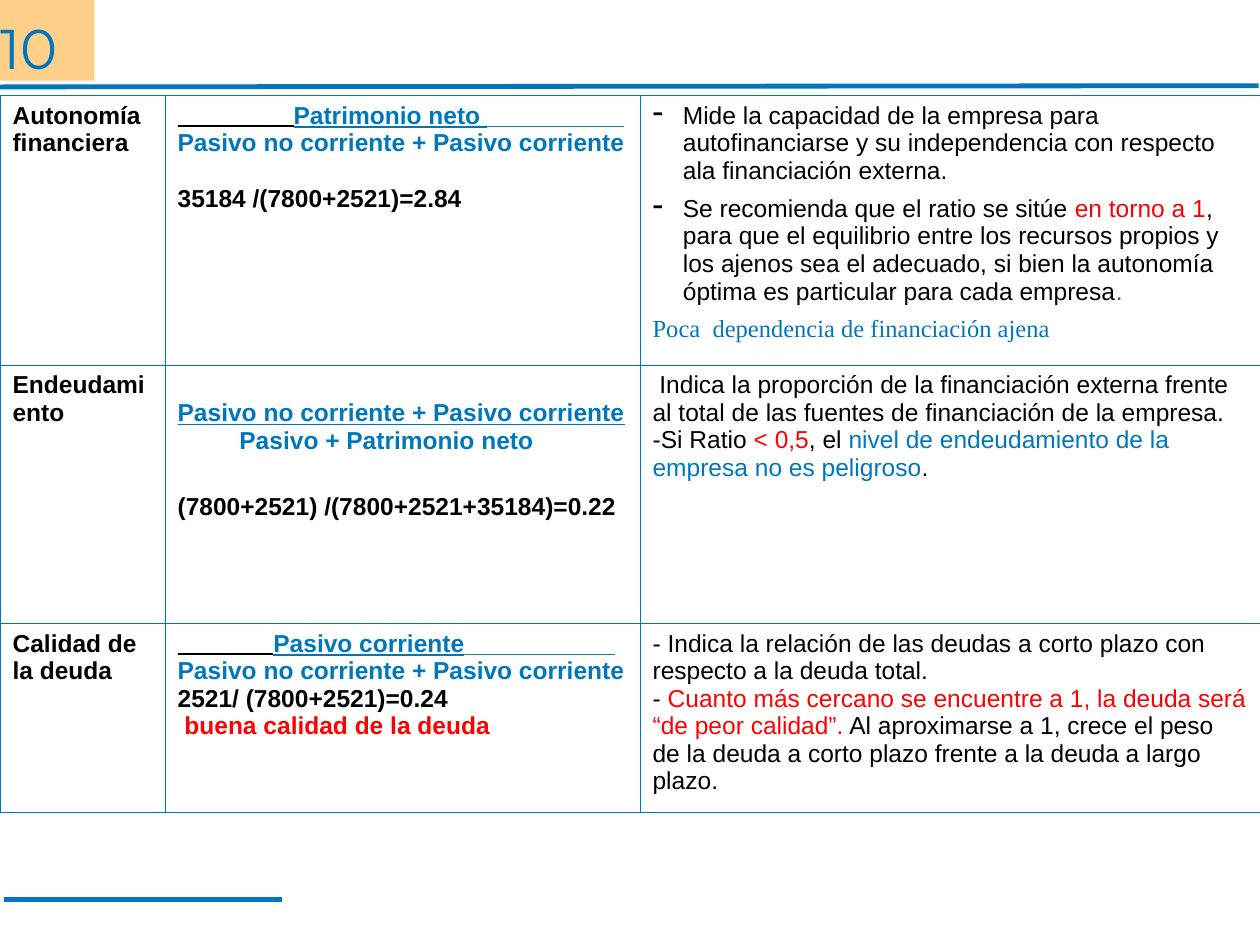
"""Builds a slide with a table of financial ratios."""
from lxml import etree
from pptx import Presentation
from pptx import util as u
from pptx.dml.color import RGBColor
from pptx.enum import shapes, text
from pptx.oxml import ns

BLUE = RGBColor(0x00, 0x77, 0xBD)
RED = RGBColor(0xFF, 0x00, 0x00)
BLACK = RGBColor(0x00, 0x00, 0x00)
WHITE = RGBColor(0xFF, 0xFF, 0xFF)
ORANGE = RGBColor(0xFF, 0x99, 0x00)
LINE_BREAK = "\n"


def add_xml(parent, tag, **attributes):
    return etree.SubElement(parent, ns.qn(tag), attributes)


def add_run(paragraph, content, size=14, font="Arial", color=BLACK, bold=False, underline=False):
    if content == LINE_BREAK:
        paragraph.add_line_break()
        return
    run = paragraph.add_run()
    run.text = content
    run.font.size = u.Pt(size)
    run.font.name = font
    run.font.color.rgb = color
    run.font.bold = bold
    run.font.underline = underline


def line(*runs, before=0, after=0, indent=0, bullet=False, **style):
    return {"runs": [run if isinstance(run, tuple) else (run, {}) for run in runs],
            "before": before, "after": after, "indent": indent,
            "bullet": bullet, "style": style}


class RatioSlide:
    def __init__(self, presentation):
        self.slide = presentation.slides.add_slide(presentation.slide_layouts[6])

    def add_line(self, start, end, color=BLUE, width=2.75):
        connector = self.slide.shapes.add_connector(
            shapes.MSO_CONNECTOR.STRAIGHT, *map(u.Inches, start + end))
        connector.line.color.rgb = color
        connector.line.width = u.Pt(width)
        add_xml(connector._element.spPr, "a:effectLst")

    def add_number(self, content):
        shape = self.slide.shapes.add_shape(
            shapes.MSO_SHAPE.RECTANGLE, 0, 0, u.Inches(0.75), u.Inches(0.64))
        shape.shadow.inherit = False
        shape.line.fill.background()
        shape.fill.solid()
        shape.fill.fore_color.rgb = ORANGE
        color = shape._element.spPr.find(".//" + ns.qn("a:srgbClr"))
        add_xml(color, "a:alpha", val="46000")
        frame = shape.text_frame
        frame.margin_left = frame.margin_right = frame.margin_top = frame.margin_bottom = 0
        frame.vertical_anchor = text.MSO_ANCHOR.TOP
        paragraph = frame.paragraphs[0]
        paragraph.alignment = text.PP_ALIGN.LEFT
        paragraph.line_spacing = 1.2
        add_run(paragraph, content, size=32, font="Montserrat", color=BLUE)

    def fill_paragraph(self, paragraph, item):
        properties = paragraph._p.get_or_add_pPr()
        indent = item["indent"]
        if item["bullet"]:
            indent = 0.24
            properties.set("indent", str(-u.Inches(indent)))
            add_xml(add_xml(properties, "a:buClr"), "a:srgbClr", val=str(BLACK))
            add_xml(properties, "a:buSzPct", val="130000")
            add_xml(properties, "a:buChar", char="-")
        properties.set("marL", str(u.Inches(indent)))
        paragraph.space_before = u.Pt(item["before"])
        paragraph.space_after = u.Pt(item["after"])
        for content, style in item["runs"]:
            add_run(paragraph, content, **{**item["style"], **style})

    def format_cell(self, cell, lines, top=0.05):
        cell.margin_left = cell.margin_right = u.Inches(0.1)
        cell.margin_top, cell.margin_bottom = u.Inches(top), u.Inches(0.05)
        properties = cell._tc.get_or_add_tcPr()
        for side in "LRTB":
            border = add_xml(properties, f"a:ln{side}", w=str(u.Pt(0.45)))
            add_xml(add_xml(border, "a:solidFill"), "a:srgbClr", val=str(BLUE))
        cell.fill.solid()
        cell.fill.fore_color.rgb = WHITE
        frame = cell.text_frame
        for index, item in enumerate(lines):
            paragraph = frame.add_paragraph() if index else frame.paragraphs[0]
            self.fill_paragraph(paragraph, item)

    def add_table(self, rows, widths, heights, tops):
        frame = self.slide.shapes.add_table(
            len(rows), len(widths), 0, u.Inches(0.76),
            u.Inches(sum(widths)), u.Inches(sum(heights)))
        table = frame.table
        table.first_row = table.horz_banding = False
        for column, width in zip(table.columns, widths):
            column.width = u.Inches(width)
        for row, height in zip(table.rows, heights):
            row.height = u.Inches(height)
        for row_index, row in enumerate(rows):
            for column_index, lines in enumerate(row):
                self.format_cell(table.cell(row_index, column_index), lines,
                                 tops.get((row_index, column_index), 0.05))


def main():
    presentation = Presentation()
    presentation.slide_width, presentation.slide_height = u.Inches(10), u.Inches(7.5)
    blue, red = {"color": BLUE}, {"color": RED}
    underlined = {"underline": True}
    debt = "Pasivo no corriente + Pasivo corriente"
    formula = {"color": BLUE, "bold": True}

    autonomy = [
        [line("Autonomía financiera", bold=True)],
        [line(("Patrimonio neto ", underlined), "__________", indent=0.92, **formula),
         line(debt, **formula),
         line("35184 /(7800+2521)=2.84", before=16, bold=True)],
        [line("Mide la capacidad de la empresa para autofinanciarse y su independencia "
              "con respecto ala financiación externa.", after=6, bullet=True),
         line("Se recomienda que el ratio se sitúe ", ("en torno a 1", red),
              ", para que el equilibrio entre los recursos propios y los ajenos sea el "
              "adecuado, si bien la autonomía óptima es particular para cada empresa",
              (".", blue), after=6, bullet=True),
         line("Poca  dependencia de financiación ajena",
              font="Times New Roman", color=BLUE)],
    ]
    indebtedness = [
        [line("Endeudamiento", bold=True)],
        [line((debt, underlined), **formula),
         line("Pasivo + Patrimonio neto", indent=0.49, **formula),
         line("(7800+2521) /(7800+2521+35184)=0.22", before=22, bold=True)],
        [line(" Indica la proporción de la financiación externa frente al total de las "
              "fuentes de financiación de la empresa.", LINE_BREAK, "-Si Ratio ",
              ("< 0,5", red), ", el ",
              ("nivel de endeudamiento de la empresa no es peligroso", blue), ".")],
    ]
    quality = [
        [line("Calidad de la deuda", bold=True)],
        [line(("Pasivo corriente", underlined), "___________", indent=0.76, **formula),
         line(debt, **formula),
         line("2521/ (7800+2521)=0.24", bold=True),
         line(" buena calidad de la deuda", color=RED, bold=True)],
        [line("- Indica la relación de las deudas a corto plazo con respecto a la deuda total."),
         line("- ", ("Cuanto más cercano se encuentre a 1, la deuda será “de peor calidad”.", red),
              " Al aproximarse a 1, crece el peso de la deuda a corto plazo frente a la "
              "deuda a largo plazo.")],
    ]

    ratios = RatioSlide(presentation)
    ratios.add_line((-0.01, 0.69), (9.99, 0.68))
    ratios.add_number("10")
    ratios.add_line((0.03, 7.14), (2.24, 7.14))
    ratios.add_table([autonomy, indebtedness, quality], widths=[1.31, 3.77, 4.92],
                     heights=[2.14, 2.05, 1.5], tops={(1, 1): 0.27})
    for right, height in ((2.33, 1), (2.17, 5.19)):
        ratios.add_line((1.41, height), (right, height), color=BLACK, width=0.75)
    presentation.save("out.pptx")


if __name__ == "__main__":
    main()
